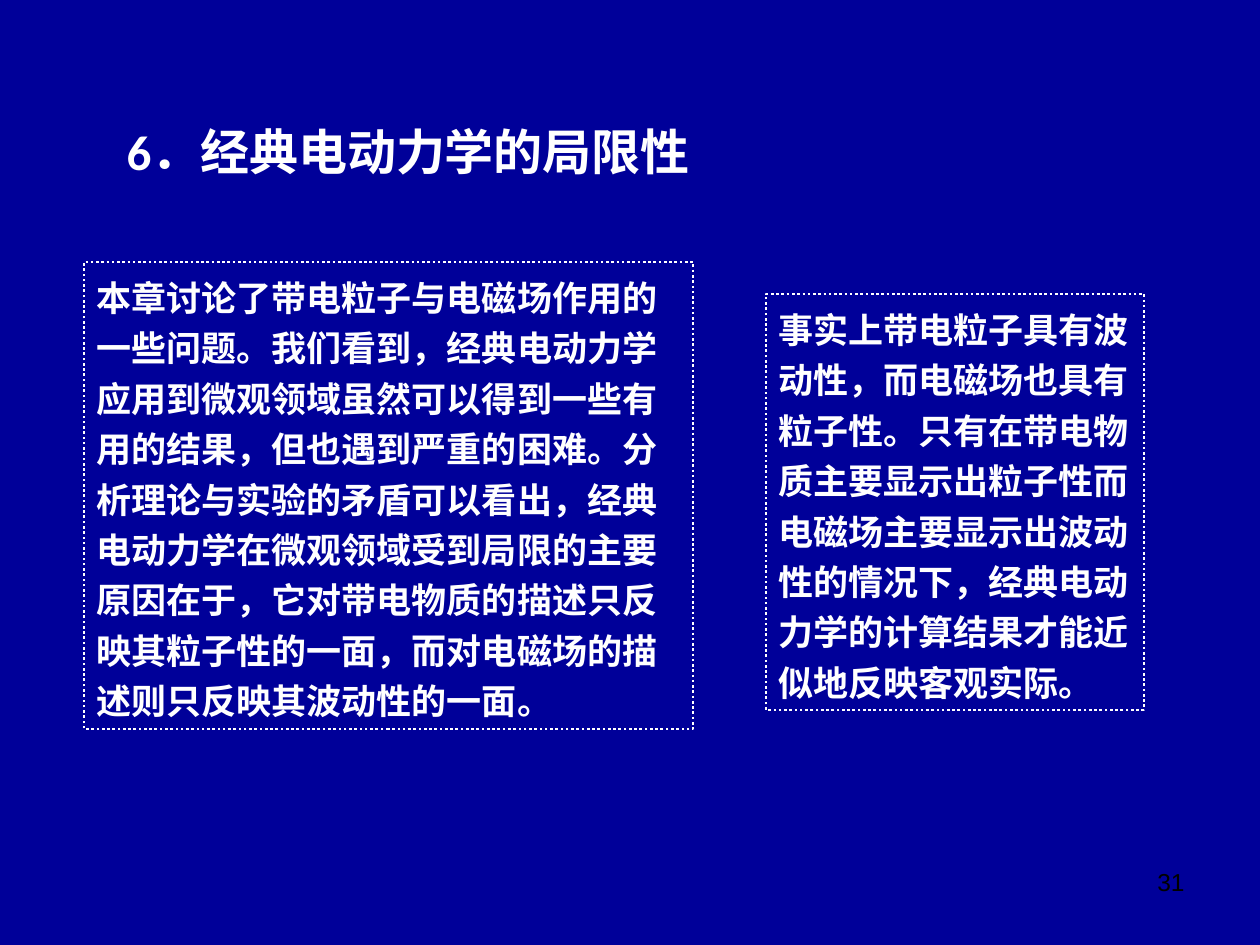
"""Build a slide on the limits of classical electrodynamics."""
from dataclasses import dataclass

from pptx import Presentation
from pptx import util as u
from pptx.dml.color import RGBColor
from pptx.enum import dml, shapes, text

NAVY = RGBColor(0x00, 0x00, 0x99)
WHITE = RGBColor(0xFF, 0xFF, 0xFF)
BLACK = RGBColor(0x00, 0x00, 0x00)
SCALE = 914400 / 126


@dataclass(frozen=True)
class Box:
    left: int
    top: int
    width: int
    height: int

    def emu(self) -> list[u.Emu]:
        sides = (self.left, self.top, self.width, self.height)
        return [u.Emu(round(side * SCALE)) for side in sides]


@dataclass(frozen=True)
class Style:
    size: int
    font: str = "Calibri"
    color: RGBColor = WHITE
    bold: bool = True
    align: text.PP_ALIGN = text.PP_ALIGN.LEFT
    space: float = 1.0


@dataclass(frozen=True)
class Panel:
    box: Box
    words: str


HEAD = Style(28)
BODY = Style(20, space=1.2)
PAGE = Style(14, "Arial", BLACK, False, text.PP_ALIGN.RIGHT)

PANELS = (
    Panel(
        Box(84, 262, 609, 467),
        "本章讨论了带电粒子与电磁场作用的一些问题。我们看到，经典电动力学应用到微观领域"
        "虽然可以得到一些有用的结果，但也遇到严重的困难。分析理论与实验的矛盾可以看出，"
        "经典电动力学在微观领域受到局限的主要原因在于，它对带电物质的描述只反映其粒子性"
        "的一面，而对电磁场的描述则只反映其波动性的一面。",
    ),
    Panel(
        Box(766, 294, 378, 416),
        "事实上带电粒子具有波动性，而电磁场也具有粒子性。只有在带电物质主要显示出粒子性"
        "而电磁场主要显示出波动性的情况下，经典电动力学的计算结果才能近似地反映客观实际。",
    ),
)


def write(shape, words: str, style: Style) -> None:
    frame = shape.text_frame
    frame.word_wrap = True
    frame.auto_size = text.MSO_AUTO_SIZE.NONE
    frame.vertical_anchor = text.MSO_ANCHOR.TOP
    frame.text = words
    para = frame.paragraphs[0]
    para.alignment = style.align
    para.line_spacing = style.space
    font = para.font
    font.name, font.size, font.bold = style.font, u.Pt(style.size), style.bold
    font.color.rgb = style.color


def draw(slide, panel: Panel) -> None:
    rect = slide.shapes.add_shape(shapes.MSO_SHAPE.RECTANGLE, *panel.box.emu())
    rect.shadow.inherit = False
    rect.fill.background()
    rect.line.color.rgb = WHITE
    rect.line.width = u.Pt(1.5)
    rect.line.dash_style = dml.MSO_LINE.ROUND_DOT
    write(rect, panel.words, BODY)


def main() -> None:
    deck = Presentation()
    deck.slide_width, deck.slide_height = u.Inches(10), u.Inches(7.5)
    slide = deck.slides.add_slide(deck.slide_layouts[5])
    slide.background.fill.solid()
    slide.background.fill.fore_color.rgb = NAVY

    title = slide.shapes.title
    title.left, title.top, title.width, title.height = Box(114, 115, 617, 72).emu()
    write(title, "6．经典电动力学的局限性", HEAD)

    for panel in PANELS:
        draw(slide, panel)

    page = slide.shapes.add_textbox(*Box(903, 861, 294, 66).emu())
    write(page, "31", PAGE)
    deck.save("out.pptx")


if __name__ == "__main__":
    main()
